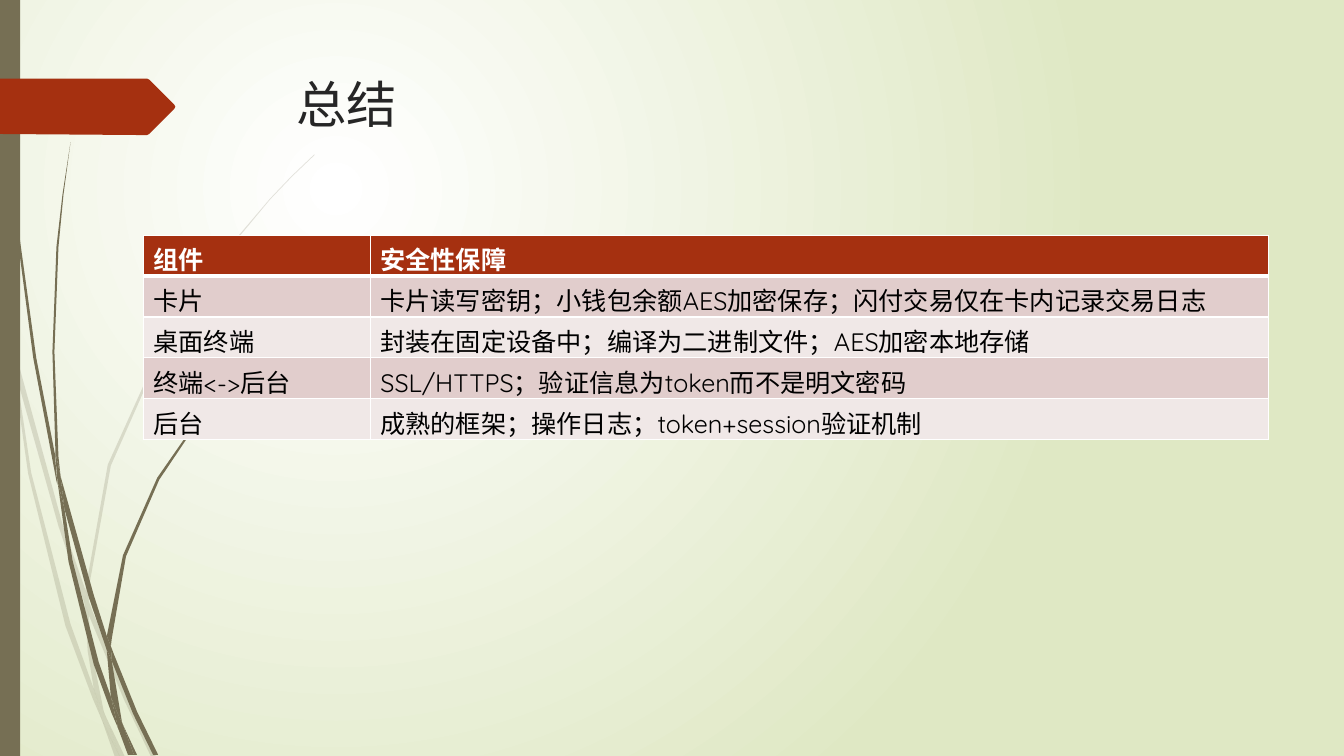
from dataclasses import dataclass

from lxml import etree
from pptx import Presentation
from pptx.dml.color import RGBColor
from pptx.enum.lang import MSO_LANGUAGE_ID
from pptx.enum.shapes import MSO_SHAPE
from pptx.oxml.ns import qn
from pptx.util import Pt

RECT = MSO_SHAPE.RECTANGLE
CHINESE = MSO_LANGUAGE_ID.SIMPLIFIED_CHINESE
FONT = "Quicksand"
OLIVE, RUST, WHITE = "766F54", "A53010", "FFFFFF"
BANDS = ("E1CDCC", "F0E8E7")
GRID = 0.72  # points per unit of the outlines below


@dataclass
class Stems:
    """A tuft of grass: the corner points of each blade."""
    outlines: tuple[str, ...]
    opacity: int


PALE_STEMS = Stems((
    "11,350 9,322 0,282 0,299 10,344",
    "58,522 84,599 85,586 62,520 14,345 17,376",
    "92,607 88,596 88,610 123,694 150,751 155,751 127,692",
    "119,751 124,751 105,711",
    "93,683 70,619 31,469 17,376 11,350 28,470 65,621 92,693 101,714 99,707",
    "84,599 87,646 93,683 96,692 105,711 103,706 91,646 88,610 88,608",
    "88,584 110,462 160,349 229,245 268,198 290,175 312,154 312,153 289,175 268,197 "
    "228,244 158,348 107,461 85,584 85,586 88,596",
    "101,714 114,751 119,751",
    "88,608 88,610 88,596 85,586 84,599",
    "96,692 93,683 99,707 101,714 119,751 105,711",
), 20)

DARK_STEMS = Stems((
    "7,110 17,233 33,355 56,477 57,481 55,457 55,453 36,355 19,232 8,109 5,48 4,0 3,0 4,48",
    "88,592 106,645 106,633 106,631 93,590 60,472 64,505",
    "113,649 110,641 111,656 132,708 152,749 157,749 136,706",
    "110,691 98,657 72,556 64,505 57,477 68,557 93,659 111,708 117,722 116,717",
    "60,472 58,453 54,349 58,245 63,193 70,141 62,193 56,245 52,349 55,449",
    "133,749 136,749 122,719",
    "57,477 64,505 60,472 55,449 55,453",
    "111,633 125,552 158,476 205,406 231,374 245,359 261,344 260,344 245,358 231,373 "
    "204,405 156,474 122,551 106,631 110,641",
    "117,722 127,749 131,749",
    "106,645 110,691 116,706 122,719 121,716 111,656 109,651",
    "106,645 109,651 111,656 110,641 106,631 106,633",
    "116,706 110,691 116,717 117,722 130,749 133,749 122,719",
), 100)

RIBBON = "173,108 148,133 146,134 136,134 0,133 0,78 146,78 148,79 173,104 174,106"

ROWS = (
    ("组件", "安全性保障"),
    ("卡片", "卡片读写密钥；小钱包余额AES加密保存；闪付交易仅在卡内记录交易日志"),
    ("桌面终端", "封装在固定设备中；编译为二进制文件；AES加密本地存储"),
    ("终端<->后台", "SSL/HTTPS；验证信息为token而不是明文密码"),
    ("后台", "成熟的框架；操作日志；token+session验证机制"),
)


def rgb(value: str) -> RGBColor:
    return RGBColor.from_string(value)


def paint(sp, color: str, opacity: int = 100) -> None:
    sp.shadow.inherit = False
    sp.fill.solid()
    sp.fill.fore_color.rgb = rgb(color)
    sp.line.fill.background()
    if opacity < 100:
        clr = sp.element.spPr.find(qn("a:solidFill"))[0]
        etree.SubElement(clr, qn("a:alpha")).set("val", str(opacity * 1000))


def add_outline(shapes, outline: str, color: str, opacity: int = 100) -> None:
    pairs = [pair.split(",") for pair in outline.split()]
    start, *rest = [(Pt(int(x) * GRID), Pt(int(y) * GRID)) for x, y in pairs]
    builder = shapes.build_freeform(*start)
    builder.add_line_segments(rest, close=True)
    paint(builder.convert_to_shape(), color, opacity)


def write(tf, text: str, size: int, color: str, bold: bool = False) -> None:
    p = tf.paragraphs[0]
    p.text = text
    r = p.runs[0]
    r.font.name, r.font.size, r.font.bold = FONT, Pt(size), bold
    r.font.color.rgb = rgb(color)
    r.font.language_id = CHINESE


def add_borders(cell, top: int, bottom: int) -> None:
    tc_pr = cell._tc.get_or_add_tcPr()
    for side, width in (("L", 1), ("R", 1), ("T", top), ("B", bottom)):
        ln = etree.SubElement(tc_pr, qn(f"a:ln{side}"), w=str(Pt(width)))
        fill = etree.SubElement(ln, qn("a:solidFill"))
        etree.SubElement(fill, qn("a:srgbClr"), val=WHITE)


def add_summary_table(s) -> None:
    table = s.shapes.add_table(len(ROWS), 2, Pt(102.5), Pt(168), Pt(803.5), Pt(146)).table
    table.columns[0].width, table.columns[1].width = Pt(162), Pt(641.5)
    for i, row in enumerate(ROWS):
        header = i == 0
        for j, text in enumerate(row):
            cell = table.cell(i, j)
            write(cell.text_frame, text, 18, WHITE if header else "000000", header)
            add_borders(cell, 3 if i == 1 else 1, 3 if header else 1)
            cell.fill.solid()
            cell.fill.fore_color.rgb = rgb(RUST if header else BANDS[(i - 1) % 2])


def set_background(s) -> None:
    fill = s.background.fill
    fill.gradient()
    for stop, color in zip(fill.gradient_stops, (WHITE, "DFE8C4")):
        stop.color.rgb = rgb(color)
    grad = s.element.find(".//" + qn("a:gradFill"))
    grad.remove(grad.find(qn("a:lin")))
    circle = etree.SubElement(grad, qn("a:path"))
    circle.set("path", "circle")
    etree.SubElement(circle, qn("a:fillToRect"), l="50000", t="50000", r="100000", b="100000")


def main() -> None:
    prs = Presentation()
    prs.slide_width, prs.slide_height = Pt(960), Pt(540)
    s = prs.slides.add_slide(prs.slide_layouts[6])
    set_background(s)

    # Grass stems, side bar and ribbon
    for stems in (PALE_STEMS, DARK_STEMS):
        group = s.shapes.add_group_shape()
        for outline in stems.outlines:
            add_outline(group.shapes, outline, OLIVE, stems.opacity)
    paint(s.shapes.add_shape(RECT, 0, 0, Pt(14.4), Pt(540)), OLIVE)
    add_outline(s.shapes, RIBBON, RUST)

    # Title and table
    tf = s.shapes.add_textbox(Pt(204.5), Pt(49), Pt(702), Pt(100.8)).text_frame
    tf.word_wrap = True
    write(tf, "总结", 36, "262626")
    add_summary_table(s)
    prs.save("out.pptx")


if __name__ == "__main__":
    main()
